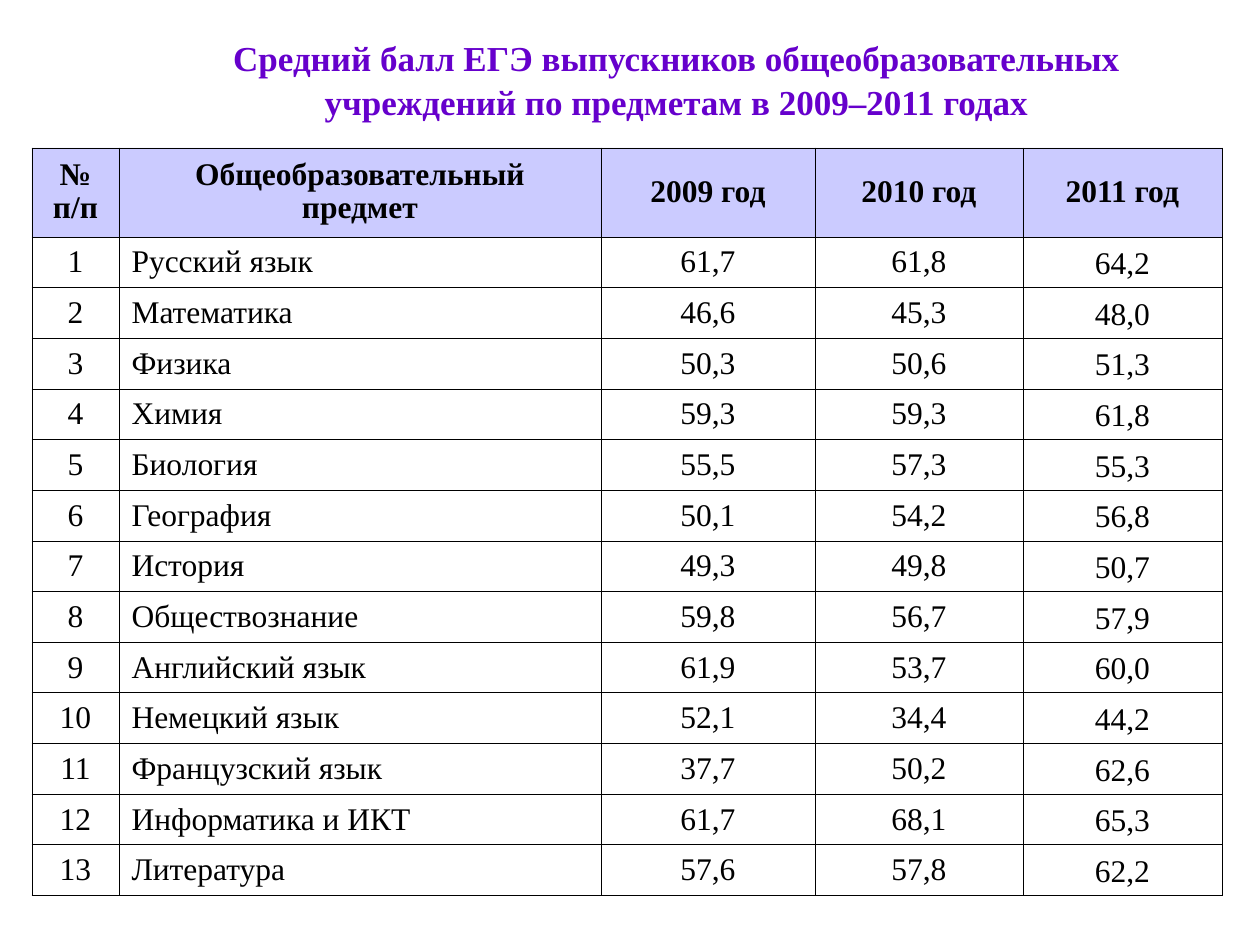
from lxml.etree import SubElement
from pptx import Presentation
from pptx.dml.color import RGBColor
from pptx.enum.text import MSO_ANCHOR, MSO_AUTO_SIZE, PP_ALIGN
from pptx.oxml.ns import qn
from pptx.util import Pt

PX = 914400 / 126
FONT = "Times New Roman"
PURPLE = RGBColor(0x66, 0x00, 0xCC)
LILAC = RGBColor(0x99, 0x99, 0xFF)
WHITE = RGBColor(0xFF, 0xFF, 0xFF)
BLACK = RGBColor(0x00, 0x00, 0x00)

TITLE = "Средний балл ЕГЭ выпускников общеобразовательных учреждений по предметам в 2009–2011 годах"
HEADER = ["№\nп/п", "Общеобразовательный\nпредмет", "2009 год", "2010 год", "2011 год"]
SCORES = [
    ("Русский язык", "61,7", "61,8", "64,2"),
    ("Математика", "46,6", "45,3", "48,0"),
    ("Физика", "50,3", "50,6", "51,3"),
    ("Химия", "59,3", "59,3", "61,8"),
    ("Биология", "55,5", "57,3", "55,3"),
    ("География", "50,1", "54,2", "56,8"),
    ("История", "49,3", "49,8", "50,7"),
    ("Обществознание", "59,8", "56,7", "57,9"),
    ("Английский язык", "61,9", "53,7", "60,0"),
    ("Немецкий язык", "52,1", "34,4", "44,2"),
    ("Французский язык", "37,7", "50,2", "62,6"),
    ("Информатика и ИКТ", "61,7", "68,1", "65,3"),
    ("Литература", "57,6", "57,8", "62,2"),
]
COL_WIDTHS = [87, 482, 214, 208, 199]
HEADER_HEIGHT = 89


def px(n):
    return round(n * PX)


def write(tf, text, size=18, color=BLACK, bold=False, align=PP_ALIGN.CENTER, spacing=1.0):
    tf.text = text
    for p in tf.paragraphs:
        p.alignment = align
        p.line_spacing = spacing
        for r in p.runs:
            r.font.name = FONT
            r.font.size = Pt(size)
            r.font.bold = bold
            r.font.color.rgb = color


def style_cell(cell, color, alpha=None):
    tcPr = cell._tc.get_or_add_tcPr()
    for side in ("lnL", "lnR", "lnT", "lnB"):
        ln = SubElement(tcPr, qn(f"a:{side}"), w=str(Pt(0.45)))
        fill = SubElement(ln, qn("a:solidFill"))
        SubElement(fill, qn("a:srgbClr"), val=str(BLACK))
    cell.fill.solid()
    cell.fill.fore_color.rgb = color
    if alpha:
        clr = tcPr.find(qn("a:solidFill")).find(qn("a:srgbClr"))
        SubElement(clr, qn("a:alpha"), val=str(alpha * 1000))


def add_title(s, x, y, w, h):
    sp = s.shapes.title
    sp.left, sp.top, sp.width, sp.height = map(px, (x, y, w, h))
    tf = sp.text_frame
    tf.word_wrap = True
    tf.auto_size = MSO_AUTO_SIZE.SHAPE_TO_FIT_TEXT
    tf.vertical_anchor = MSO_ANCHOR.MIDDLE
    write(tf, TITLE, size=20, color=PURPLE, bold=True, spacing=1.05)


def add_scores(s, x, y, w, h):
    rows = [HEADER] + [(str(n), *score) for n, score in enumerate(SCORES, 1)]
    table = s.shapes.add_table(len(rows), len(HEADER), px(x), px(y), px(w), px(h)).table
    table.first_row = table.horz_banding = False
    for col, width in zip(table.columns, COL_WIDTHS):
        col.width = px(w * width / sum(COL_WIDTHS))
    for i, row in enumerate(rows):
        head = i == 0
        table.rows[i].height = px(HEADER_HEIGHT if head else (h - HEADER_HEIGHT) / len(SCORES))
        for j, text in enumerate(row):
            cell = table.cell(i, j)
            style_cell(cell, LILAC if head else WHITE, 50 if head else None)
            last = j == len(row) - 1
            cell.vertical_anchor = MSO_ANCHOR.BOTTOM if last and not head else MSO_ANCHOR.MIDDLE
            write(cell.text_frame, text, bold=head, spacing=0.93 if head else 1.0,
                  align=PP_ALIGN.LEFT if j == 1 and not head else PP_ALIGN.CENTER)


def main():
    prs = Presentation()
    prs.slide_width, prs.slide_height = px(1260), px(945)
    s = prs.slides.add_slide(prs.slide_layouts[5])
    add_title(s, 131, 30, 1091, 97)
    add_scores(s, 32, 148, 1190, 748)
    prs.save("out.pptx")


if __name__ == "__main__":
    main()
